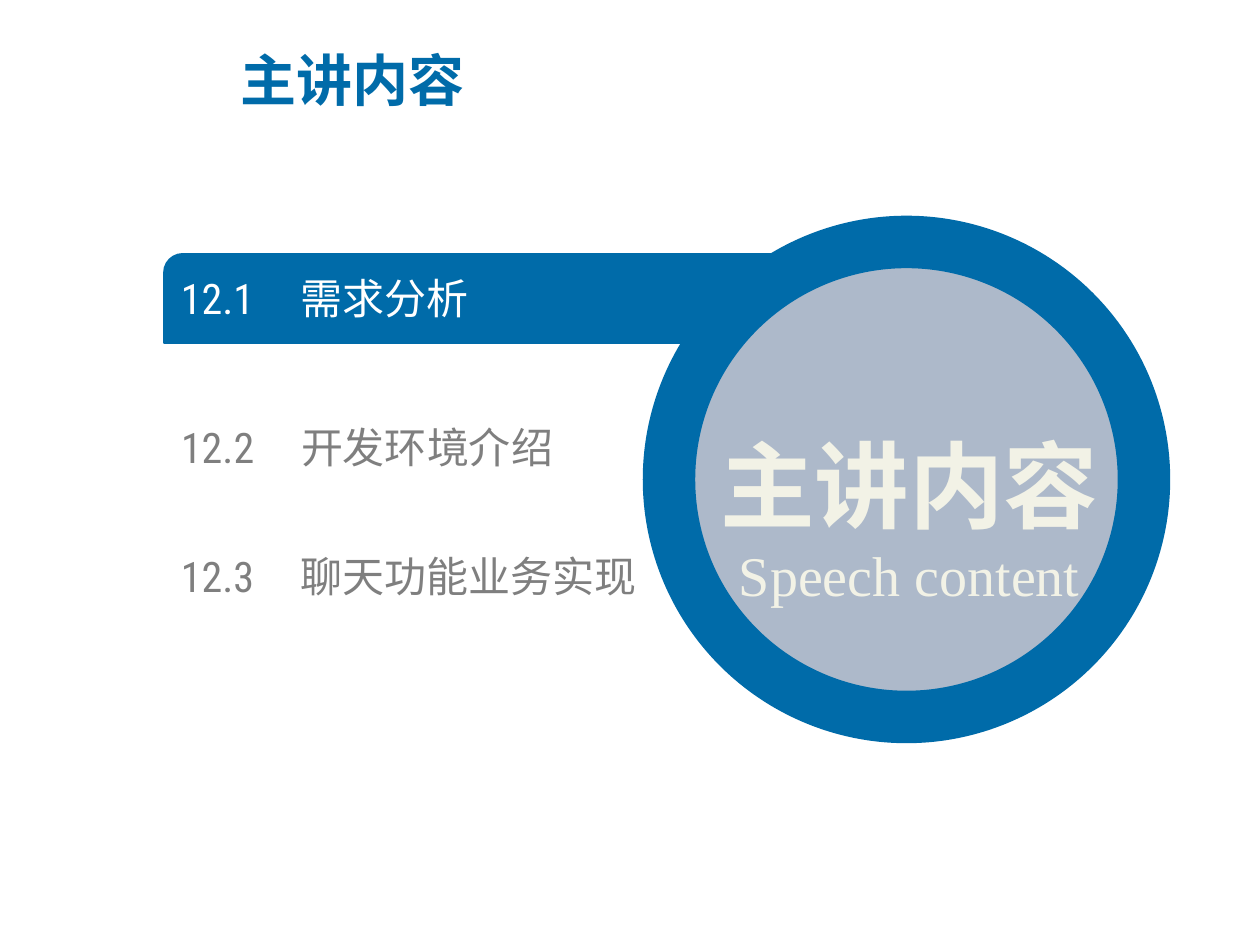
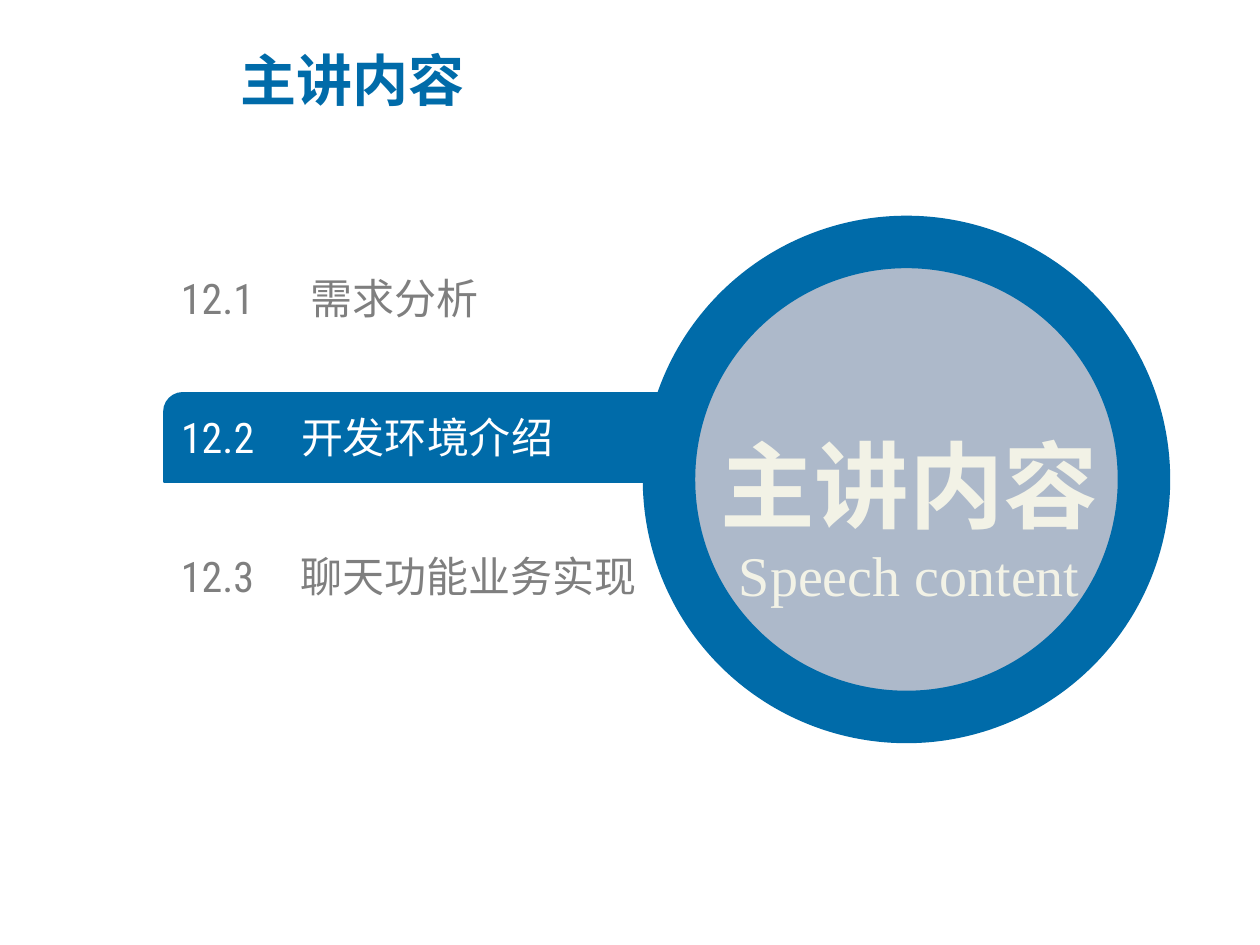
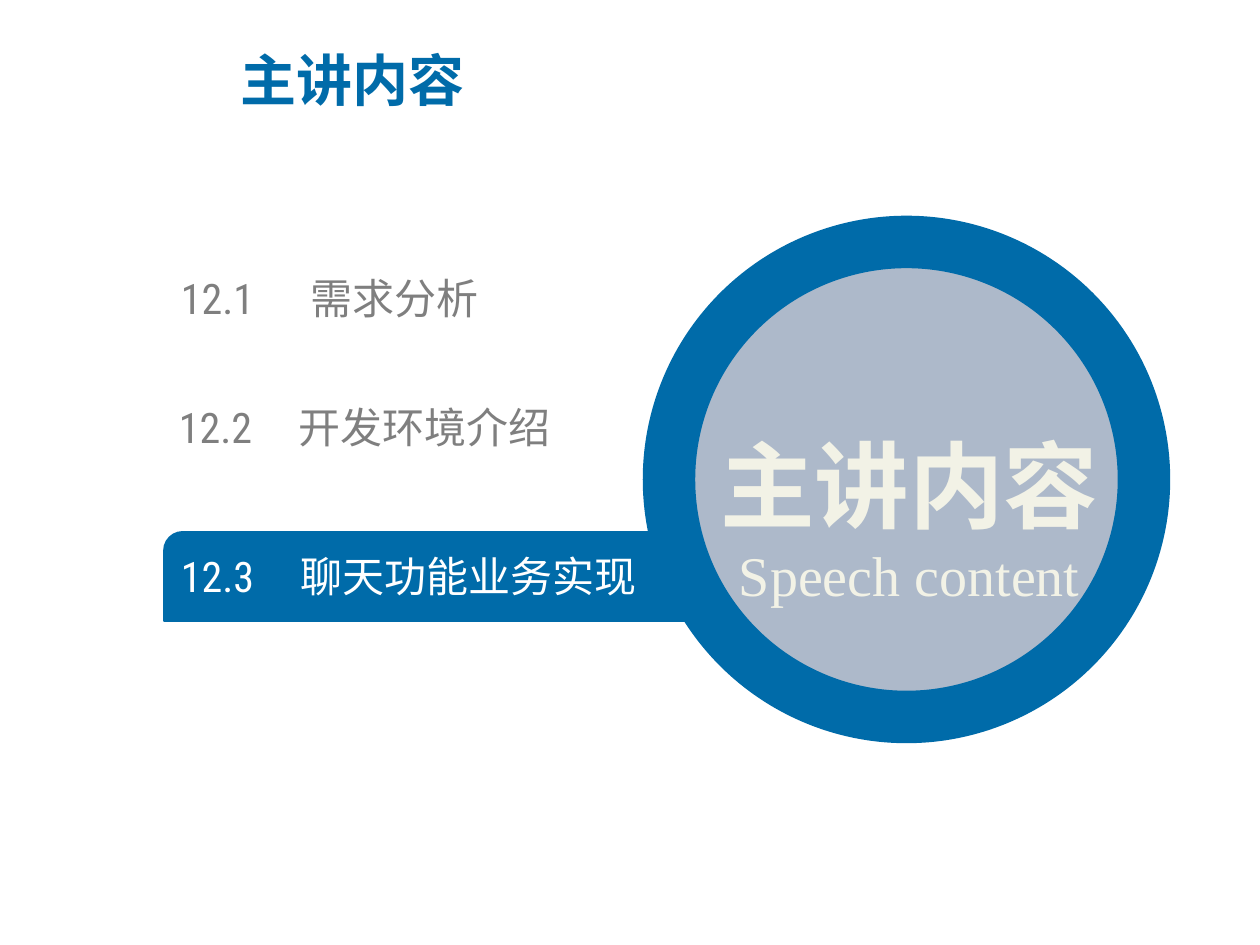
from dataclasses import dataclass

from lxml.etree import SubElement
from pptx import Presentation
from pptx.dml.color import RGBColor
from pptx.enum.shapes import MSO_SHAPE
from pptx.enum.text import MSO_ANCHOR as Anchor, MSO_AUTO_SIZE as AutoSize, PP_ALIGN as Align
from pptx.oxml.ns import qn
from pptx.util import Emu, Pt


@dataclass(frozen=True)
class Theme:
    """Colours, fonts and type sizes shared by the slides."""
    blue: str = "006BA9"
    disc: str = "ADB9CA"
    cream: str = "F2F2E6"
    grey: str = "7F7F7F"
    white: str = "FFFFFF"
    cjk: str = "Noto Sans CJK SC"
    latin: str = "Roboto Condensed"
    serif: str = "Times New Roman"
    title_size: int = 32
    item_size: int = 24
    disc_size: int = 54
    thin: int = 1
    ring: int = 30


T = Theme()
SECTIONS = [("12.1", "需求分析", 528), ("12.2", "开发环境介绍", 597), ("12.3", "聊天功能业务实现", 528)]
HEADING = "主讲内容"
BAR_TOP, BAR_H, PITCH = 254, 89, 139
ROW_LEFT, ROW_H = 181, 50


def px(n):
    """Turn pixels at 126 to the inch into EMU."""
    return Emu(round(n * 914400 / 126))


def box(*at):
    """Turn a pixel rectangle into EMU lengths."""
    return [px(n) for n in at]


def style(p, size, color, font, bold=False):
    """Format every run of a paragraph."""
    for r in p.runs:
        r.font.size = Pt(size)
        r.font.bold = bold
        r.font.color.rgb = RGBColor.from_string(color)
        r.font.name = font
        SubElement(r.font._element, qn("a:ea"), typeface=T.cjk)


def add_text(s, at, text, grow=True, inset=None):
    """Add a wrapping, vertically centred text box and return its frame."""
    tf = s.shapes.add_textbox(*box(*at)).text_frame
    tf.text = text
    tf.word_wrap = True
    tf.vertical_anchor = Anchor.MIDDLE
    tf.auto_size = AutoSize.SHAPE_TO_FIT_TEXT if grow else AutoSize.NONE
    if inset is not None:
        tf.margin_left = tf.margin_top = tf.margin_right = tf.margin_bottom = px(inset)
    return tf


def add_filled(s, kind, at, fill, line_width):
    """Add a flat preset shape with a blue outline."""
    sp = s.shapes.add_shape(kind, *box(*at))
    sp.shadow.inherit = False
    sp.fill.solid()
    sp.fill.fore_color.rgb = RGBColor.from_string(fill)
    sp.line.color.rgb = RGBColor.from_string(T.blue)
    sp.line.width = Pt(line_width)
    return sp


def add_bar(s, active):
    """Add the highlight bar behind the active section."""
    at = (164, BAR_TOP + PITCH * active, 814, BAR_H)
    sp = add_filled(s, MSO_SHAPE.ROUND_2_DIAG_RECTANGLE, at, T.blue, T.thin)
    sp.adjustments[0] = 0.21
    sp.adjustments[1] = 0


def add_section(s, i, active):
    """Add one agenda row, moving the middle row away from the active one."""
    number, name, width = SECTIONS[i]
    left, top = ROW_LEFT, BAR_TOP + 19 + PITCH * i
    if i == 1:
        top += 10 * (1 - active)
        left -= 2 if active == 2 else 0
    tf = add_text(s, (left, top, width, ROW_H), f"{number}\t{name}", inset=0)
    p = tf.paragraphs[0]
    stop = 130 if i == 0 and active else 120
    tabs = SubElement(p._p.get_or_add_pPr(), qn("a:tabLst"))
    SubElement(tabs, qn("a:tab"), pos=str(px(stop)), algn="l")
    style(p, T.item_size, T.white if i == active else T.grey, T.latin)


def add_disc(s):
    """Add the ringed disc with its two-line label."""
    add_filled(s, MSO_SHAPE.OVAL, (669, 242, 475, 475), T.disc, T.ring)
    tf = add_text(s, (664, 363, 491, 252), f"{HEADING}\nSpeech content")
    head, sub = tf.paragraphs
    head.alignment = sub.alignment = Align.CENTER
    head.line_spacing = 1.5
    style(head, T.disc_size, T.cream, T.cjk, bold=True)
    style(sub, T.title_size, T.cream, T.serif)


def add_title(s):
    """Add the slide title."""
    tf = add_text(s, (228, 26, 709, 106), HEADING, grow=False)
    style(tf.paragraphs[0], T.title_size, T.blue, T.cjk, bold=True)


def add_agenda(prs, active):
    """Add an agenda slide with one section highlighted."""
    s = prs.slides.add_slide(prs.slide_layouts[6])
    add_bar(s, active)
    for i in range(len(SECTIONS)):
        add_section(s, i, active)
    add_disc(s)
    add_title(s)


def main():
    """Build one agenda slide for each section."""
    prs = Presentation()
    prs.slide_width, prs.slide_height = box(1260, 945)
    for active in range(len(SECTIONS)):
        add_agenda(prs, active)
    prs.save("out.pptx")


if __name__ == "__main__":
    main()
